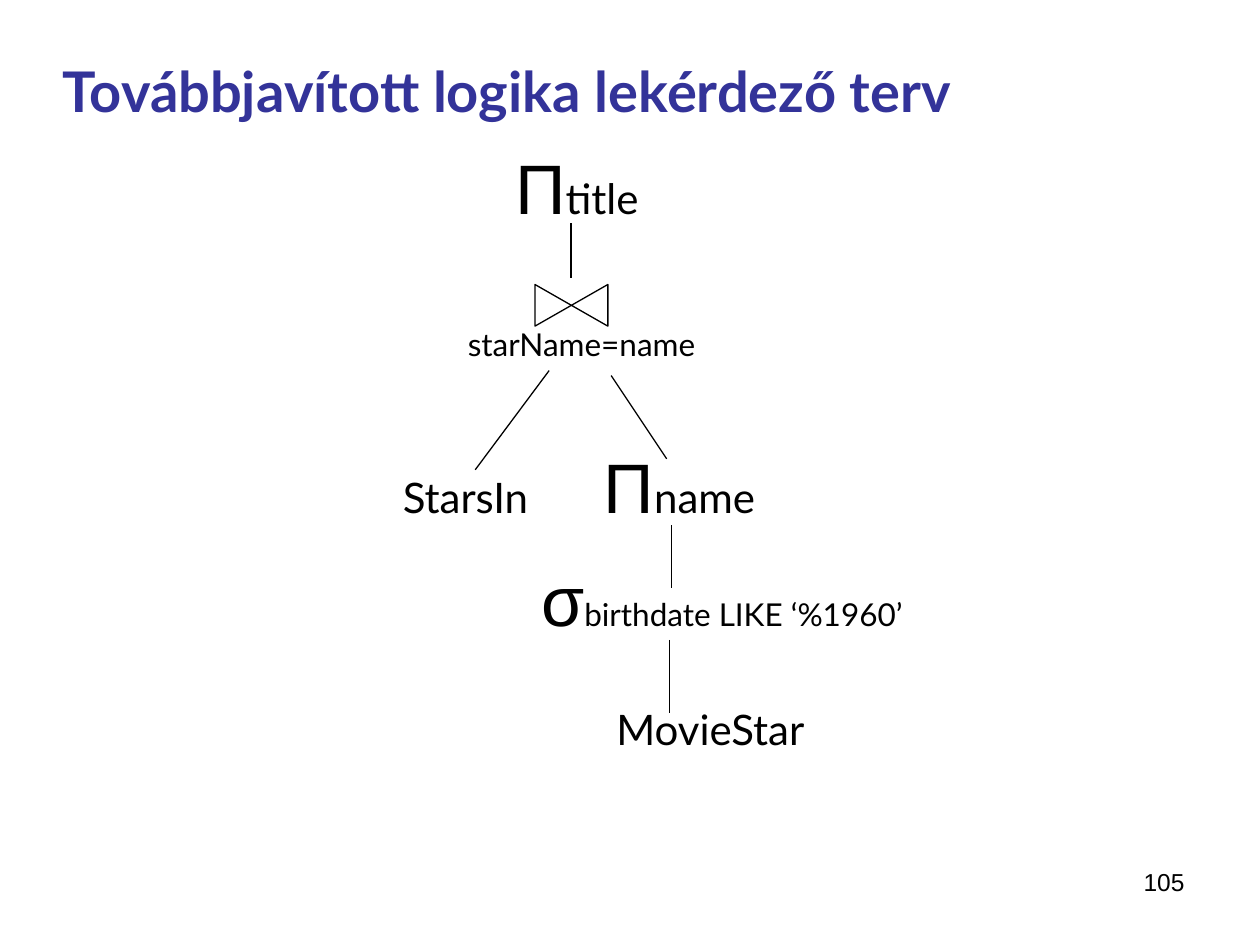
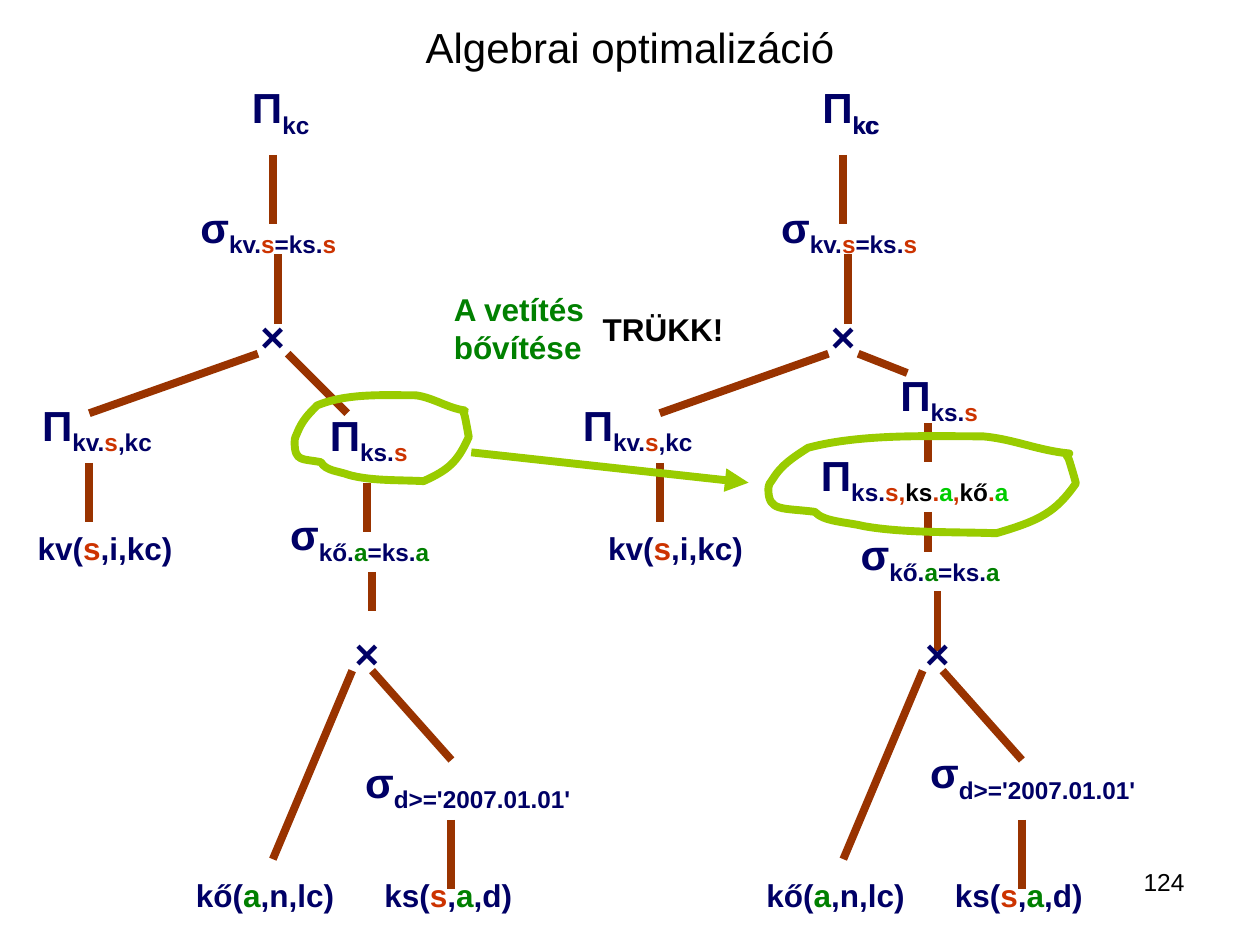
import pptx
import pptx.util
import pptx.dml.color
import pptx.enum.shapes
import pptx.enum.text
import pptx.oxml.ns
import lxml.etree

Cm = pptx.util.Cm
Pt = pptx.util.Pt
Rgb = pptx.dml.color.RGBColor.from_string
Align = pptx.enum.text.PP_ALIGN
Anchor = pptx.enum.text.MSO_ANCHOR
Shape = pptx.enum.shapes.MSO_SHAPE
qn = pptx.oxml.ns.qn
Sub = lxml.etree.SubElement

INK = {
    "black": "000000", "white": "FFFFFF", "blue": "333399", "navy": "000066",
    "red": "CC3300", "green": "008000", "leaf": "00CC00",
    "brown": "993300", "lime": "99CC00",
}

# Text styles: font, size, colour, bold, subscript
STYLE = {
    "page": ("Arial", 14, "black", False, False),
    "title": ("Lato", 32, "blue", True, False),
    "head": ("Arial", 24, "black", False, False),
    "op": ("Arial", 40, "black", False, False),
    "big": ("Lato", 24, "black", False, False),
    "small": ("Lato", 18, "black", False, False),
    "note": ("Arial", 18, "green", True, False),
    "trick": ("Arial", 18, "black", True, False),
    "node": ("Arial", 24, "navy", True, False),
    "thin": ("Arial", 24, "navy", False, False),
    "thin sub": ("Arial", 24, "navy", False, True),
}
for hue in ("navy", "red", "green", "leaf", "black"):
    STYLE["sub " + hue] = ("Arial", 24, hue, True, True)
    STYLE["end " + hue] = ("Arial", 18, hue, True, False)


def label(slide, box, parts, align=Align.LEFT, anchor=Anchor.TOP, wrap=True, tab=None):
    frame = slide.shapes.add_textbox(*[Cm(n) for n in box]).text_frame
    frame.word_wrap = wrap
    frame.vertical_anchor = anchor
    para = frame.paragraphs[0]
    para.alignment = align
    if tab:
        tabs = Sub(para._p.get_or_add_pPr(), qn("a:tabLst"))
        Sub(tabs, qn("a:tab"), pos=str(Cm(tab)), algn="l")
    for text, style in parts:
        run = para.add_run()
        run.text = text
        face, size, hue, bold, sub = STYLE[style]
        run.font.name = face
        run.font.size = Pt(size)
        run.font.bold = bold
        run.font.color.rgb = Rgb(INK[hue])
        if sub:
            run._r.get_or_add_rPr().set("baseline", "-25000")


def line(slide, ends, hue, width):
    link = slide.shapes.add_connector(
        pptx.enum.shapes.MSO_CONNECTOR.STRAIGHT, *[Cm(n) for n in ends])
    link.line.color.rgb = Rgb(INK[hue])
    link.line.width = Pt(width)
    Sub(link._element.spPr, qn("a:effectLst"))
    return link


deck = pptx.Presentation()
deck.slide_width, deck.slide_height = Cm(25.4), Cm(19.05)

# Both slides: title and page number
TITLES = [
    ("Továbbjavított logika lekérdező terv", "title", (1.02, 0.58, 23.27, 2.46), Align.LEFT, "105"),
    ("Algebrai optimalizáció", "head", (1.27, 0.76, 22.86, 0.36), Align.CENTER, "124"),
]
slides = []
for text, style, box, align, page in TITLES:
    slide = deck.slides.add_slide(deck.slide_layouts[6])
    label(slide, (18.21, 17.35, 5.92, 1.32), [(page, "page")], Align.RIGHT)
    label(slide, box, [(text, style)], align, Anchor.MIDDLE)
    slides.append(slide)
plan, trees = slides

# Query plan: operators and relations
STEPS = [
    ((10.07, 2.77, 3.12, 1.96), [("Π", "op"), ("title", "big")]),
    ((8.97, 6.43, 5.51, 1.02), [("starName=name", "small")]),
    ((10.58, 11.08, 7.95, 1.96), [("σ", "op"), ("birthdate LIKE ‘%1960’", "small")]),
    ((11.96, 14.05, 4.72, 1.27), [("MovieStar", "big")]),
]
for box, parts in STEPS:
    label(plan, box, parts, Align.CENTER, Anchor.MIDDLE, False)
label(plan, (7.87, 8.81, 10.8, 1.96), [("StarsIn\t", "big"), ("Π", "op"), ("name", "big")],
      anchor=Anchor.MIDDLE, tab=4.05)

# Query plan: branches
for ends in [
    (11.51, 4.5, 11.51, 5.61),
    (13.54, 10.59, 13.54, 11.86),
    (13.49, 12.9, 13.49, 14.38),
    (11.07, 7.47, 9.58, 9.47),
    (12.32, 7.57, 13.44, 9.25),
]:
    line(plan, ends, "black", 0.75)

# Query plan: join sign
join = plan.shapes.add_shape(
    Shape.FLOWCHART_COLLATE, Cm(11.1), Cm(5.42), Cm(0.84), Cm(1.47))
join.rotation = 270
join.shadow.inherit = False
join.fill.solid()
join.fill.fore_color.rgb = Rgb(INK["white"])
join.line.color.rgb = Rgb(INK["black"])
join.line.width = Pt(0.75)

# Trees: nodes at their left-tree box, with the nudge in the right tree
SHIFT = 11.5
PROJ = [("Π", "node"), ("ks.", "sub navy")]
NODES = [
    ((4.83, 1.52, 1.7, 1.42), (0, 0), [("Π", "node"), ("kc", "sub navy")]),
    ((3.79, 3.93, 7.8, 1.42), (0.21, 0),
     [("σ", "node"), ("kv.", "sub navy"), ("s", "sub red"), ("=ks.", "sub navy"), ("s", "sub red")]),
    ((5, 6.13, 2.41, 1.27), (0, 0), [("×", "node")]),
    ((0.6, 7.92, 4.6, 1.42), (-0.6, 0),
     [("Π", "node"), ("kv.", "sub navy"), ("s", "sub red"), (",kc", "sub navy")]),
    ((6.4, 8.13, 6.4, 1.42), (0, -0.81), PROJ + [("s", "sub red")]),
    ((5.6, 10.13, 4.6, 1.42), (0, 0.4),
     [("σ", "node"), ("kő.", "sub navy"), ("a", "sub green"), ("=ks.", "sub navy"), ("a", "sub green")]),
    ((6.9, 12.52, 2.59, 1.27), (0, 0), [("×", "node")]),
    ((7.11, 15.12, 5.59, 1.42), (-0.11, -0.19),
     [("σ", "node"), ("d>='2007.01.01'", "sub navy")]),
    ((0.51, 10.53, 3.81, 1.02), (0, 0),
     [("kv(", "end navy"), ("s", "end red"), (",i,kc)", "end navy")]),
    ((3.7, 17.53, 3.4, 1.02), (0, 0),
     [("kő(", "end navy"), ("a", "end green"), (",n,lc)", "end navy")]),
    ((7.5, 17.53, 3.4, 1.02), (0, 0),
     [("ks(", "end navy"), ("s", "end red"), (",", "end navy"), ("a", "end green"),
      (",d)", "end navy")]),
]

# Trees: branches that both share, then those of each tree
BOTH = [
    (5.5, 3.12, 5.5, 4.52),
    (5.6, 5.13, 5.6, 6.53),
    (5.2, 7.13, 1.8, 8.33),
    (7.1, 13.52, 5.5, 17.32),
    (7.5, 13.52, 9.1, 15.32),
    (9.1, 16.53, 9.1, 17.93),
    (1.8, 9.33, 1.8, 10.52),
]
OWN = [
    [(5.8, 7.13, 7, 8.33), (7.5, 11.53, 7.5, 12.32), (7.4, 9.73, 7.4, 10.72)],
    [(5.8, 7.13, 6.79, 7.52), (7.4, 11.92, 7.4, 13.13),
     (7.2, 8.53, 7.2, 9.32), (7.2, 10.32, 7.2, 11.13)],
]

# The top right node is set twice, thin under bold
label(trees, (16.33, 1.52, 1.65, 1.42), [("Π", "thin"), ("kc", "thin sub")], wrap=False)
for side in range(2):
    move = side * SHIFT
    for x1, y1, x2, y2 in BOTH + OWN[side]:
        line(trees, (x1 + move, y1, x2 + move, y2), "brown", 4.5)
    for (x, y, w, h), (dx, dy), parts in NODES:
        label(trees, (x + move + side * dx, y + side * dy, w, h), parts)

# Widened projection and remarks
label(trees, (16.3, 8.93, 6.4, 1.42), PROJ + [
    ("s,", "sub red"), ("ks", "sub black"), (".", "sub red"), ("a", "sub leaf"),
    (",", "sub red"), ("kő", "sub black"), (".", "sub red"), ("a", "sub leaf")])
label(trees, (8.9, 5.72, 5.21, 1.78), [("A vetítés bővítése", "note")])
label(trees, (11.9, 6.12, 3.4, 1.02), [("TRÜKK!", "trick")])

# Hand-drawn rings: Bézier curves on a 139 by 70 grid, fitted to each box
START = (136, 14)
CURVES = [
    ((122, 12), (111, 4), (97, 2)),
    ((73, 2), (42, 0), (18, 10)),
    ((11, 17), (6, 22), (2, 32)),
    ((1, 34), (0, 36), (0, 39)),
    ((0, 55), (6, 52), (21, 55)),
    ((25, 62), (35, 62), (43, 65)),
    ((61, 70), (84, 69), (103, 70)),
    ((123, 61), (130, 55), (139, 35)),
    ((138, 29), (137, 24), (136, 19)),
    ((135, 14), (134, 17), START),
]
knots = [START] + [knot for curve in CURVES for knot in curve]
for x, y, w, h in [(5.94, 7.92, 3.51, 1.78), (15.49, 8.74, 6.2, 2.01)]:
    spots = [(Cm(x + w * a / 139), Cm(y + h * b / 70)) for a, b in knots]
    pen = trees.shapes.build_freeform(*spots[0])
    pen.add_line_segments(spots[1:], close=True)
    ring = pen.convert_to_shape()
    # Each three straight steps become one curve
    steps = list(ring._element.iter(qn("a:lnTo")))
    for first in range(0, 3 * len(CURVES), 3):
        bend = lxml.etree.Element(qn("a:cubicBezTo"))
        steps[first].addprevious(bend)
        for step in steps[first:first + 3]:
            bend.append(step[0])
            step.getparent().remove(step)
    ring.shadow.inherit = False
    ring.fill.background()
    ring.line.color.rgb = Rgb(INK["lime"])
    ring.line.width = Pt(4.5)

# Arrow from ring to ring
arrow = line(trees, (9.5, 9.12, 15.09, 9.73), "lime", 4.5)
Sub(arrow.line._get_or_add_ln(), qn("a:tailEnd"), type="triangle")

deck.save("out.pptx")
